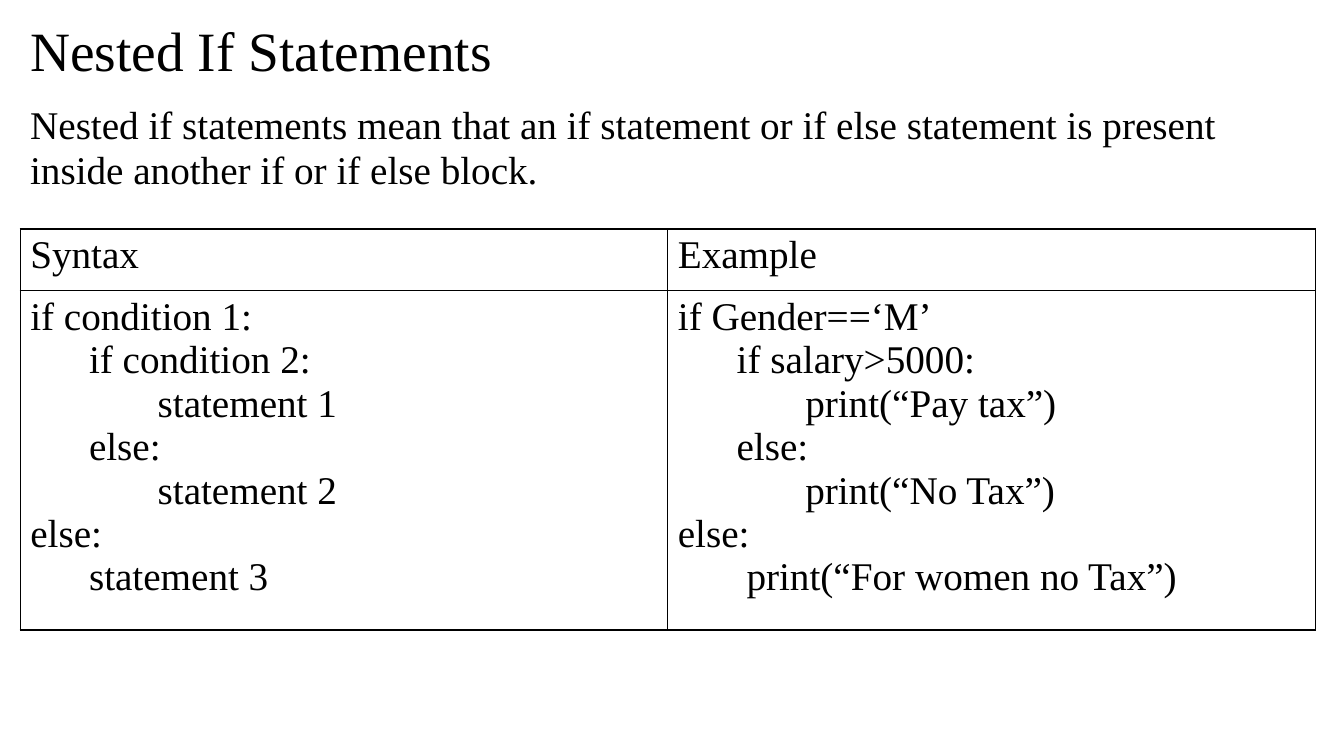
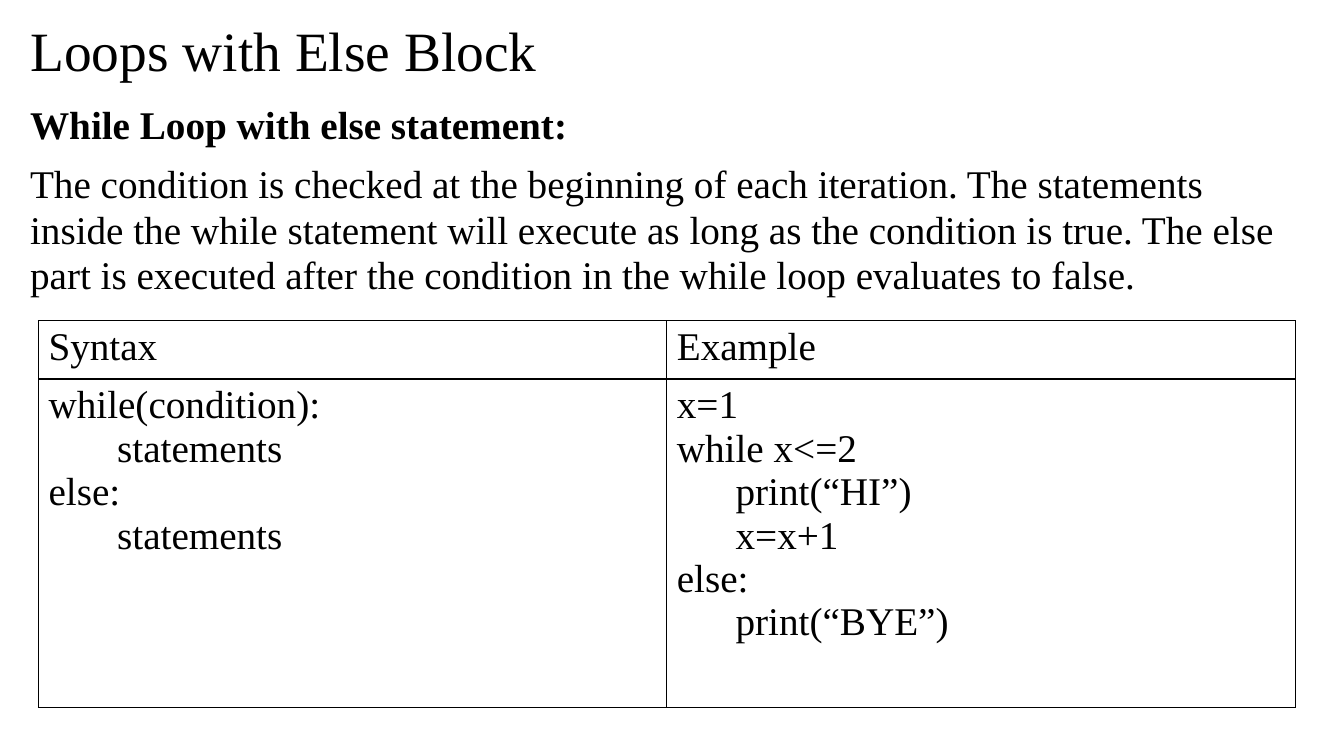
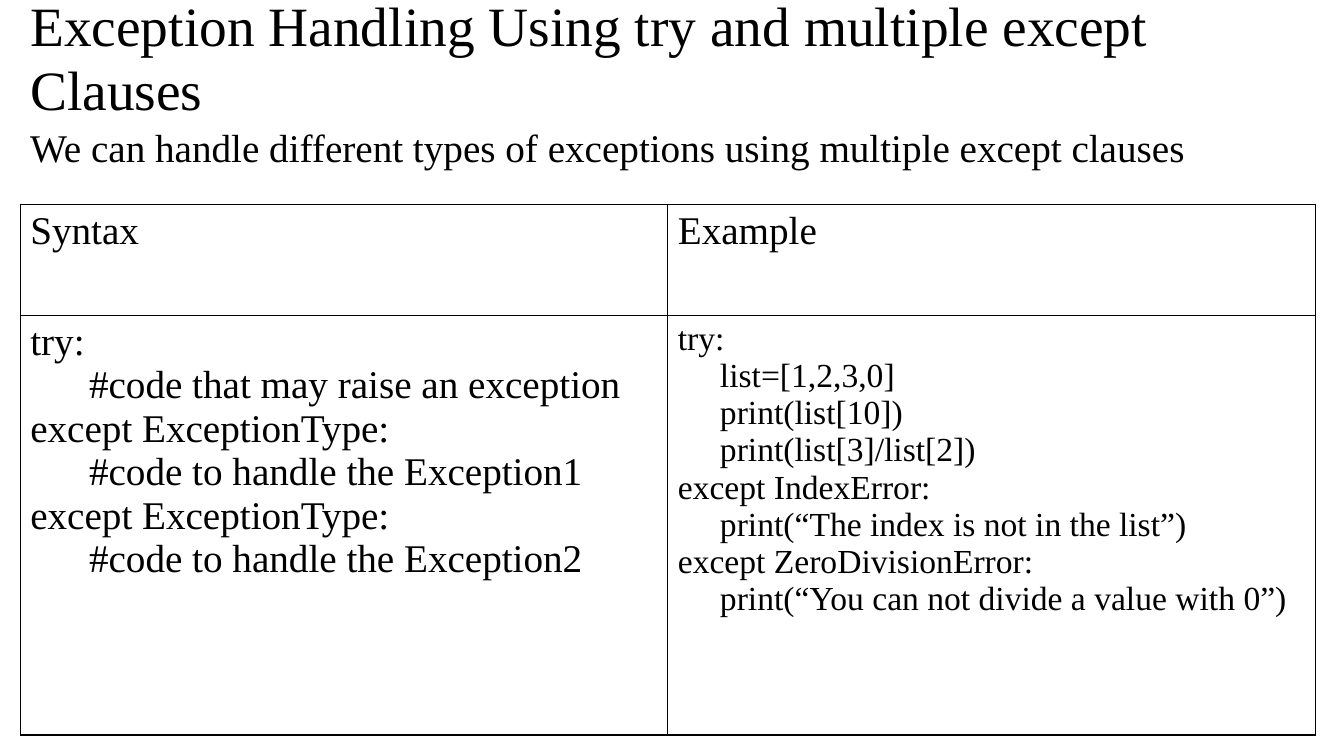
from lxml import etree
from pptx import Presentation
from pptx.dml.color import RGBColor
from pptx.enum import text
from pptx.oxml import ns
from pptx.util import Cm, Pt

# Shared style
FONT = "Times New Roman"
BLACK = "000000"
TITLE_SIZE, BODY_SIZE, SMALL_SIZE = 39.6, 28, 24
LINE_SPACING = 0.97
LEFT, TOP, WIDTH, BOTTOM = 0.51, 0.51, 32.64, 18.52

# Code indents in centimetres
STEP, WIDE_STEP, SMALL_STEP, DEEP = 1.48, 1.73, 1.06, 3.21


def color(value):
    return RGBColor.from_string(value)


def write(paragraph, content, size=BODY_SIZE, bold=False, indent=0,
          line_spacing=None, space_before=0):
    """Put text in a paragraph and format it."""
    run = paragraph.add_run()
    run.text = content
    run.font.name = FONT
    run.font.size = Pt(size)
    run.font.bold = bold
    run.font.color.rgb = color(BLACK)
    paragraph.alignment = text.PP_ALIGN.LEFT
    paragraph.space_before = Pt(space_before)
    if line_spacing:
        paragraph.line_spacing = line_spacing
    if indent:
        paragraph._p.get_or_add_pPr().set("marL", str(Cm(indent)))


def paragraphs(frame, count):
    """Return the first paragraph of a frame and as many new ones as needed."""
    return [frame.paragraphs[0]] + [frame.add_paragraph() for _ in range(count - 1)]


def add_title(slide, content, height):
    title = slide.shapes.title
    title.left, title.top = Cm(LEFT), Cm(TOP)
    title.width, title.height = Cm(WIDTH), Cm(height)
    frame = title.text_frame
    frame.word_wrap = True
    frame.auto_size = text.MSO_AUTO_SIZE.NONE
    frame.vertical_anchor = text.MSO_ANCHOR.MIDDLE
    write(frame.paragraphs[0], content, size=TITLE_SIZE, line_spacing=LINE_SPACING)


def add_body(slide, top, content, heading=None):
    box = slide.shapes.add_textbox(Cm(LEFT), Cm(top), Cm(WIDTH), Cm(BOTTOM - top))
    frame = box.text_frame
    frame.word_wrap = True
    parts = [(heading, True)] if heading else []
    parts.append((content, False))
    for paragraph, (part, bold) in zip(paragraphs(frame, len(parts)), parts):
        write(paragraph, part, bold=bold, line_spacing=LINE_SPACING, space_before=10)


def set_borders(cell):
    properties = cell._tc.get_or_add_tcPr()
    for side in ("a:lnL", "a:lnR", "a:lnT", "a:lnB"):
        line = etree.SubElement(properties, ns.qn(side), w=str(Pt(1)))
        fill = etree.SubElement(line, ns.qn("a:solidFill"))
        etree.SubElement(fill, ns.qn("a:srgbClr"), val=BLACK)


def fill_cell(cell, lines, size=BODY_SIZE):
    """Write (indent, text) lines into a bordered cell."""
    set_borders(cell)
    cell.fill.background()
    for paragraph, (indent, line) in zip(paragraphs(cell.text_frame, len(lines)), lines):
        write(paragraph, line, size=size, indent=indent)


def add_code_table(slide, top, heights, syntax, example,
                   left=LEFT, width=WIDTH, example_size=BODY_SIZE):
    frame = slide.shapes.add_table(2, 2, Cm(left), Cm(top), Cm(width), Cm(sum(heights)))
    table = frame.table
    table.first_row = table.horz_banding = False
    for row, height in zip(table.rows, heights):
        row.height = Cm(height)
    columns = (("Syntax", syntax, BODY_SIZE), ("Example", example, example_size))
    for index, (heading, lines, size) in enumerate(columns):
        table.columns[index].width = Cm(width / 2)
        fill_cell(table.cell(0, index), [(0, heading)])
        fill_cell(table.cell(1, index), lines, size)


def add_slide(presentation, title, title_height=1.63):
    slide = presentation.slides.add_slide(presentation.slide_layouts[5])
    add_title(slide, title, title_height)
    return slide


def main():
    presentation = Presentation()
    presentation.slide_width, presentation.slide_height = Cm(33.87), Cm(19.05)

    # Nested if
    slide = add_slide(presentation, "Nested If Statements")
    add_body(slide, 2.46, "Nested if statements mean that an if statement or if else "
             "statement is present inside another if or if else block.")
    add_code_table(
        slide, 5.77, (1.55, 7.9),
        syntax=[(0, "if condition 1:"), (STEP, "if condition 2:"),
                (DEEP, "statement 1"), (STEP, "else:"), (DEEP, "statement 2"),
                (0, "else:"), (STEP, "statement 3")],
        example=[(0, "if Gender==‘M’"), (STEP, "if salary>5000:"),
                 (DEEP, "print(“Pay tax”)"), (STEP, "else:"),
                 (DEEP, "print(“No Tax”)"), (0, "else:"),
                 (WIDE_STEP, "print(“For women no Tax”)")])

    # Loops with else
    slide = add_slide(presentation, "Loops with Else Block")
    add_body(slide, 2.46, "The condition is checked at the beginning of each iteration. "
             "The statements inside the while statement will execute as long as the "
             "condition is true. The else part is executed after the condition in the "
             "while loop evaluates to false.",
             heading="While Loop with else statement:")
    add_code_table(
        slide, 8.08, (1.47, 8.28), left=0.97, width=31.67,
        syntax=[(0, "while(condition):"), (WIDE_STEP, "statements"),
                (0, "else:"), (WIDE_STEP, "statements")],
        example=[(0, "x=1"), (0, "while x<=2"), (STEP, "print(“HI”)"),
                 (STEP, "x=x+1"), (0, "else:"), (STEP, "print(“BYE”)")])

    # Exception handling
    slide = add_slide(presentation, "Exception Handling Using try and multiple except "
                      "Clauses", title_height=1.96)
    add_body(slide, 3.05, "We can handle different types of exceptions using multiple "
             "except clauses")
    add_code_table(
        slide, 5.16, (2.79, 10.57), example_size=SMALL_SIZE,
        syntax=[(0, "try:"), (STEP, "#code that may raise an exception"),
                (0, "except ExceptionType:"), (STEP, "#code to handle the Exception1"),
                (0, "except ExceptionType:"), (STEP, "#code to handle the Exception2")],
        example=[(0, "try:"), (SMALL_STEP, "list=[1,2,3,0]"),
                 (SMALL_STEP, "print(list[10])"), (SMALL_STEP, "print(list[3]/list[2])"),
                 (0, "except IndexError:"),
                 (SMALL_STEP, "print(“The index is not in the list”)"),
                 (0, "except ZeroDivisionError:"),
                 (SMALL_STEP, "print(“You can not divide a value with 0”)")])

    presentation.save("out.pptx")


if __name__ == "__main__":
    main()
